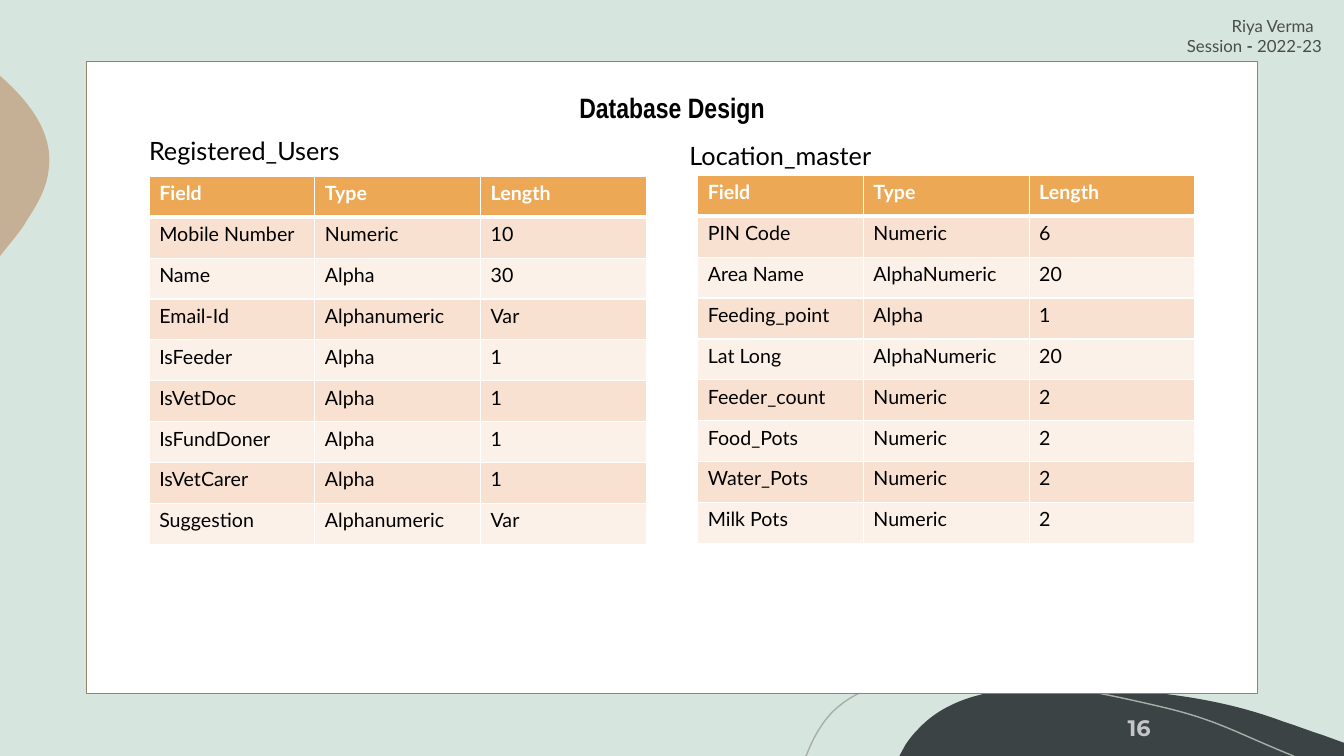
from dataclasses import dataclass

from lxml import etree
from pptx import Presentation
from pptx.dml.color import RGBColor
from pptx.enum.shapes import MSO_SHAPE
from pptx.enum.text import MSO_ANCHOR, MSO_AUTO_SIZE, PP_ALIGN
from pptx.oxml import parse_xml
from pptx.oxml.ns import nsdecls, qn
from pptx.util import Inches, Pt

TITLE = "Database Design"
NUMBER = "16"
AUTHOR = [["Riya Verma"], ["Session ", "-", " 2022-23"]]
HEADER = ("Field", "Type", "Length")
TABLES = [  # name, name position, table position, rows
    ("Registered_Users", (1.38, 1.29), (1.48, 1.75), [
        ("Mobile Number", "Numeric", "10"),
        ("Name", "Alpha", "30"),
        ("Email-Id", "Alphanumeric", "Var"),
        ("IsFeeder", "Alpha", "1"),
        ("IsVetDoc", "Alpha", "1"),
        ("IsFundDoner", "Alpha", "1"),
        ("IsVetCarer", "Alpha", "1"),
        ("Suggestion", "Alphanumeric", "Var"),
    ]),
    ("Location_master", (6.74, 1.34), (6.92, 1.74), [
        ("PIN Code", "Numeric", "6"),
        ("Area Name", "AlphaNumeric", "20"),
        ("Feeding_point", "Alpha", "1"),
        ("Lat Long", "AlphaNumeric", "20"),
        ("Feeder_count", "Numeric", "2"),
        ("Food_Pots", "Numeric", "2"),
        ("Water_Pots", "Numeric", "2"),
        ("Milk Pots", "Numeric", "2"),
    ]),
]
TABLE_SIZE = (4.93, 3.65)

# Outlines: a start point, then line ends (2 numbers) or Bézier curves (6 numbers)
DARK_HILL = [
    (10.54, 6.83), (11.28, 6.83, 12.04, 6.9, 12.73, 7.16),
    (12.86, 7.2, 12.98, 7.25, 13.11, 7.29), (13.33, 7.37), (13.33, 7.5),
    (8.92, 7.5), (8.98, 7.39), (9.02, 7.33, 9.06, 7.28, 9.11, 7.23),
    (9.39, 6.93, 9.82, 6.84, 10.23, 6.83), (10.33, 6.83, 10.43, 6.83, 10.54, 6.83)]
TAN_BLOB = [
    (0, 0.75), (0.01, 0.76), (0.3, 1.02, 0.54, 1.33, 0.48, 1.7),
    (0.46, 1.87, 0.37, 2.03, 0.27, 2.18), (0.24, 2.24, 0.17, 2.33, 0.08, 2.44),
    (0, 2.54)]
WAVE = [
    (7.99, 7.5), (8, 7.49), (8.06, 7.33, 8.14, 7.19, 8.24, 7.08),
    (8.5, 6.81, 8.89, 6.73, 9.26, 6.72), (9.55, 6.72),
    (10.22, 6.72, 11, 6.89, 11.55, 7.02), (12.09, 7.15, 12.26, 7.27, 12.83, 7.5)]


@dataclass(frozen=True)
class Theme:
    back: str = "D7E5DF"
    dark: str = "3B4345"
    tan: str = "C5B096"
    wave: str = "A9AEA7"
    edge: str = "92826F"
    white: str = "FFFFFF"
    black: str = "000000"
    soft: str = "0D0D0D"
    head: str = "ECA855"
    bands: tuple = ("F8E1D1", "FBF1E9")
    body_font: str = "Lato"
    title_font: str = "Arial Narrow"
    number_font: str = "Montserrat"
    title_size: int = 20
    name_size: int = 18
    number_size: int = 16
    cell_size: int = 14
    small_size: int = 12


T = Theme()


def rgb(color):
    return RGBColor.from_string(color)


def style(paragraph, size, color, font=T.body_font, bold=False, alpha=None):
    for r in paragraph.runs:
        f = r.font
        f.size, f.name, f.bold = Pt(size), font, bold
        f.color.rgb = rgb(color)
        if alpha:
            clr = r._r.rPr.find(qn("a:solidFill"))[0]
            etree.SubElement(clr, qn("a:alpha")).set("val", str(alpha * 1000))


def text_box(slide, box, lines, size, color, align=PP_ALIGN.LEFT, **look):
    """Add a text box; each line is a list of run texts."""
    tf = slide.shapes.add_textbox(*map(Inches, box)).text_frame
    tf.word_wrap = True
    for i, line in enumerate(lines):
        p = tf.add_paragraph() if i else tf.paragraphs[0]
        p.alignment = align
        for text in line:
            p.add_run().text = text
        style(p, size, color, **look)
    return tf


def add_outline(slide, outline, fill=None, line=None):
    """Build a freeform through the segment ends, then bend its curved segments."""
    ends = [(Inches(seg[-2]), Inches(seg[-1])) for seg in outline]
    builder = slide.shapes.build_freeform(*ends[0], scale=1.0)
    builder.add_line_segments(ends[1:], close=fill is not None)
    sp = builder.convert_to_shape()
    lines = list(sp.element.iter(qn("a:lnTo")))
    for node, seg in zip(lines, outline[1:]):
        if len(seg) == 6:
            node.tag = qn("a:cubicBezTo")
            for i, (x, y) in enumerate((seg[:2], seg[2:4])):
                pt = etree.Element(qn("a:pt"), x=str(Inches(x) - sp.left),
                                   y=str(Inches(y) - sp.top))
                node.insert(i, pt)
    paint(sp, fill, line)


def paint(sp, fill, line):
    sp.shadow.inherit = False
    if fill:
        sp.fill.solid()
        sp.fill.fore_color.rgb = rgb(fill)
    else:
        sp.fill.background()
    if line:
        sp.line.color.rgb, sp.line.width = rgb(line), Pt(1)
    else:
        sp.line.fill.background()


def set_borders(cell, **widths):
    tc_pr = cell._tc.get_or_add_tcPr()
    for i, side in enumerate("LRTB"):
        tc_pr.insert(i, parse_xml(
            f'<a:ln{side} {nsdecls("a")} w="{Pt(widths.get(side, 1))}"><a:solidFill>'
            f'<a:srgbClr val="{T.white}"/></a:solidFill></a:ln{side}>'))


def add_field_table(slide, pos, rows):
    grid = [HEADER, *rows]
    table = slide.shapes.add_table(len(grid), len(HEADER),
                                   *map(Inches, pos + TABLE_SIZE)).table
    for i, row in enumerate(grid):
        for j, value in enumerate(row):
            cell = table.cell(i, j)
            cell.text = value
            cell.fill.solid()
            cell.fill.fore_color.rgb = rgb(T.bands[(i - 1) % 2] if i else T.head)
            set_borders(cell, B=1 if i else 3, T=3 if i == 1 else 1)
            style(cell.text_frame.paragraphs[0], T.cell_size,
                  T.black if i else T.white, bold=i == 0)


def add_title(slide):
    title = slide.shapes.title
    title.left, title.top, title.width, title.height = map(
        Inches, (4.5, 0.85, 4.33, 0.44))
    tf = title.text_frame
    tf.text = TITLE
    tf.vertical_anchor = MSO_ANCHOR.TOP
    tf.auto_size = MSO_AUTO_SIZE.SHAPE_TO_FIT_TEXT
    tf.paragraphs[0].alignment = PP_ALIGN.CENTER
    style(tf.paragraphs[0], T.title_size, T.black, T.title_font, bold=True)
    title.element.getparent().append(title.element)  # bring in front of the card


def main():
    prs = Presentation()
    prs.slide_width, prs.slide_height = Inches(13.33), Inches(7.5)
    slide = prs.slides.add_slide(prs.slide_layouts[5])
    slide.background.fill.solid()
    slide.background.fill.fore_color.rgb = rgb(T.back)

    add_outline(slide, DARK_HILL, fill=T.dark)
    add_outline(slide, TAN_BLOB, fill=T.tan)
    add_outline(slide, WAVE, line=T.wave)
    number = text_box(slide, (9.84, 7.02, 1.67, 0.4), [[NUMBER]], T.number_size, T.white,
                      PP_ALIGN.RIGHT, font=T.number_font, bold=True, alpha=70)
    number.vertical_anchor = MSO_ANCHOR.MIDDLE

    card = slide.shapes.add_shape(MSO_SHAPE.RECTANGLE,
                                  *map(Inches, (0.86, 0.61, 11.61, 6.27)))
    paint(card, T.white, T.edge)
    add_title(slide)
    for name, name_pos, table_pos, rows in TABLES:
        add_field_table(slide, table_pos, rows)
        tf = text_box(slide, name_pos + (2.84, 0.4), [[name]], T.name_size, T.black)
        tf.auto_size = MSO_AUTO_SIZE.SHAPE_TO_FIT_TEXT

    author = text_box(slide, (10.98, 0.11, 2.23, 0.4), AUTHOR,
                      T.small_size, T.soft, PP_ALIGN.RIGHT, alpha=70)
    for p, margin in zip(author.paragraphs, (0.08, 0)):
        p._p.get_or_add_pPr().set("marR", str(Inches(margin)))
    author.paragraphs[1].runs[1].font.bold = True
    prs.save("out.pptx")


if __name__ == "__main__":
    main()
